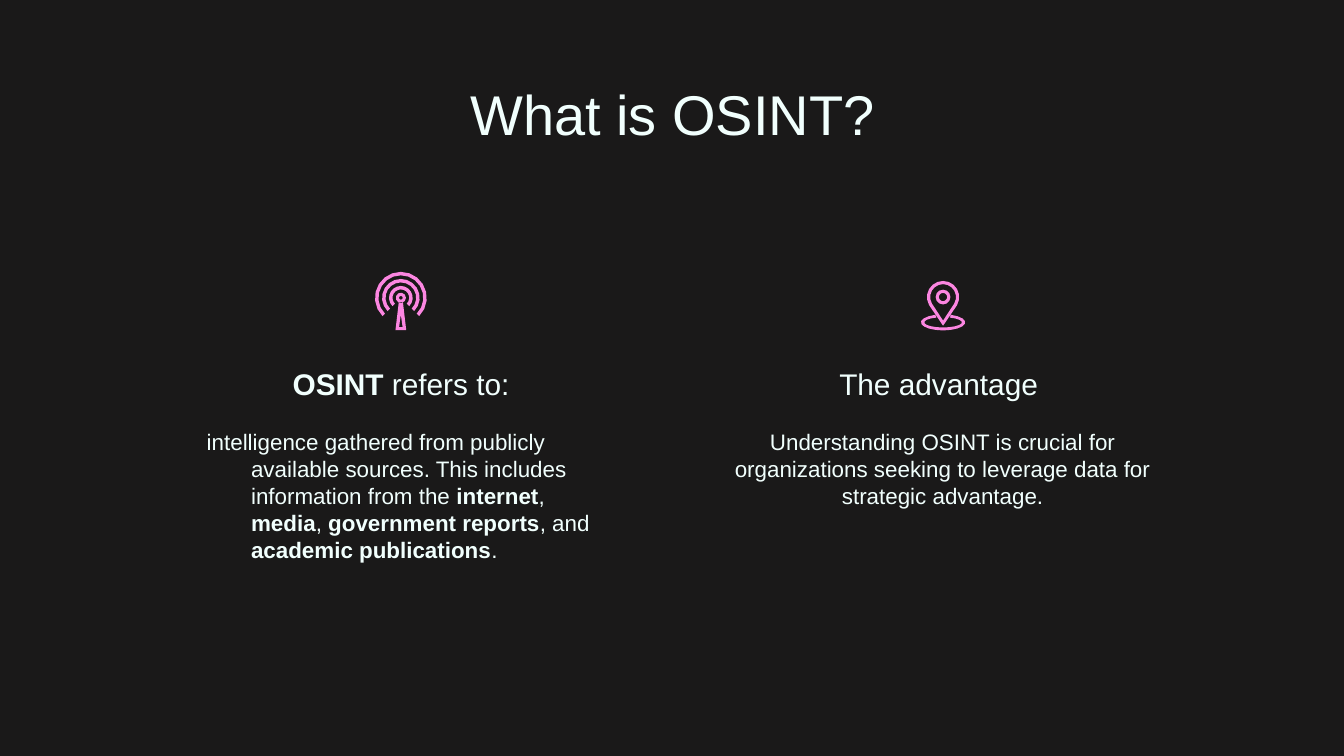
import math
import pptx
import pptx.util
import pptx.dml.color
import pptx.enum.text
from dataclasses import dataclass

Rgb = pptx.dml.color.RGBColor.from_string
Align = pptx.enum.text.PP_ALIGN
Anchor = pptx.enum.text.MSO_ANCHOR


@dataclass(frozen=True)
class Theme:
    back: str = "1A1919"
    ink: str = "F1FFFD"
    pink: str = "FC86E1"
    font: str = "Arial"
    title: int = 30
    head: int = 16
    body: int = 12


theme = Theme()
deck = pptx.Presentation()
deck.slide_width = pptx.util.Inches(10)
deck.slide_height = pptx.util.Inches(5.625)
COL = deck.slide_width / 100
ROW = deck.slide_height / 100

slide = deck.slides.add_slide(deck.slide_layouts[6])
slide.background.fill.solid()
slide.background.fill.fore_color.rgb = Rgb(theme.back)


def write(text, x, y, wide, high, size, align=Align.CENTER,
          anchor=Anchor.TOP, left=0, first=0):
    """Place text by columns and rows; parts between asterisks are bold."""
    box = slide.shapes.add_textbox(
        round(x * COL), round(y * ROW), round(wide * COL), round(high * ROW))
    frame = box.text_frame
    frame.word_wrap = True
    frame.vertical_anchor = anchor
    frame.margin_left = frame.margin_right = pptx.util.Inches(0.1)
    frame.margin_top = frame.margin_bottom = pptx.util.Inches(0.1)
    para = frame.paragraphs[0]
    para.alignment = align
    if left:
        props = para._p.get_or_add_pPr()
        props.set("marL", str(round(left * COL)))
        props.set("indent", str(round(first * COL)))
    for index, part in enumerate(text.split("*")):
        if part:
            run = para.add_run()
            run.text = part
            run.font.name = theme.font
            run.font.size = pptx.util.Pt(size)
            run.font.bold = index % 2 == 1
            run.font.color.rgb = Rgb(theme.ink)


def arc(wide, high, start=0, stop=360, y=0, step=20):
    """Points on an ellipse around (0, y), in degrees clockwise from the right."""
    count = round(abs(stop - start) / step)
    turns = [math.radians(start + (stop - start) * n / count) for n in range(count + 1)]
    return [(wide * math.cos(t), y + high * math.sin(t)) for t in turns]


write("What is OSINT?", 7.9, 8.7, 84.3, 11.2, theme.title)

LEFT, RIGHT, WIDE = 12.7, 53, 34.3
HEAD, BODY = 46, 54.9
for x, head in ((LEFT, "*OSINT* refers to:"), (RIGHT, "The advantage ")):
    write(head, x, HEAD, WIDE, 8.9, theme.head, anchor=Anchor.BOTTOM)

write("intelligence gathered from publicly available sources. This includes "
      "information from the *internet*, *media*, *government reports*, and "
      "*academic publications*.",
      LEFT, BODY, WIDE, 22, theme.body, align=Align.LEFT, left=5, first=-3.3)
write("Understanding OSINT is crucial for organizations seeking to leverage "
      "data for strategic advantage.",
      RIGHT, BODY, WIDE, 22, theme.body)

# Icon outlines, in columns from each icon's centre
waves = [arc(r, r, 135, 405) + arc(r - 0.26, r - 0.26, 405, 135)
         for r in (1.93, 1.4, 0.88)]
hub = [arc(r, r, step=40) for r in (0.38, 0.14)]
stem = [(-0.15, 0.3), (-0.4, 2.4), (0.4, 2.4), (0.15, 0.3)]
slot = [(0, 1.25), (0.13, 2.18), (-0.13, 2.18)]
mast = waves + hub + [stem, slot]

drop = [arc(r, r, 150, 390) + [(0, tip)] for r, tip in ((1.2, 2.13), (0.96, 1.75))]
base = arc(1.65, 0.6, -69, 249, y=1.88) + arc(1.4, 0.38, 249, -69, y=1.88)
pin = drop + [base]
ring = [arc(r, r, step=30) for r in (0.55, 0.31)]

for x, y, parts in ((29.83, 39.4, mast), (70.17, 39.3, pin), (70.17, 39.3, ring)):
    pen = None
    for part in parts:
        spots = [(round(x * COL + a * COL), round(y * ROW + b * COL)) for a, b in part]
        if pen is None:
            pen = slide.shapes.build_freeform(*spots[0])
        else:
            pen.move_to(*spots[0])
        pen.add_line_segments(spots[1:], close=True)
    icon = pen.convert_to_shape()
    icon.shadow.inherit = False
    icon.fill.solid()
    icon.fill.fore_color.rgb = Rgb(theme.pink)
    icon.line.fill.background()

deck.save("out.pptx")
